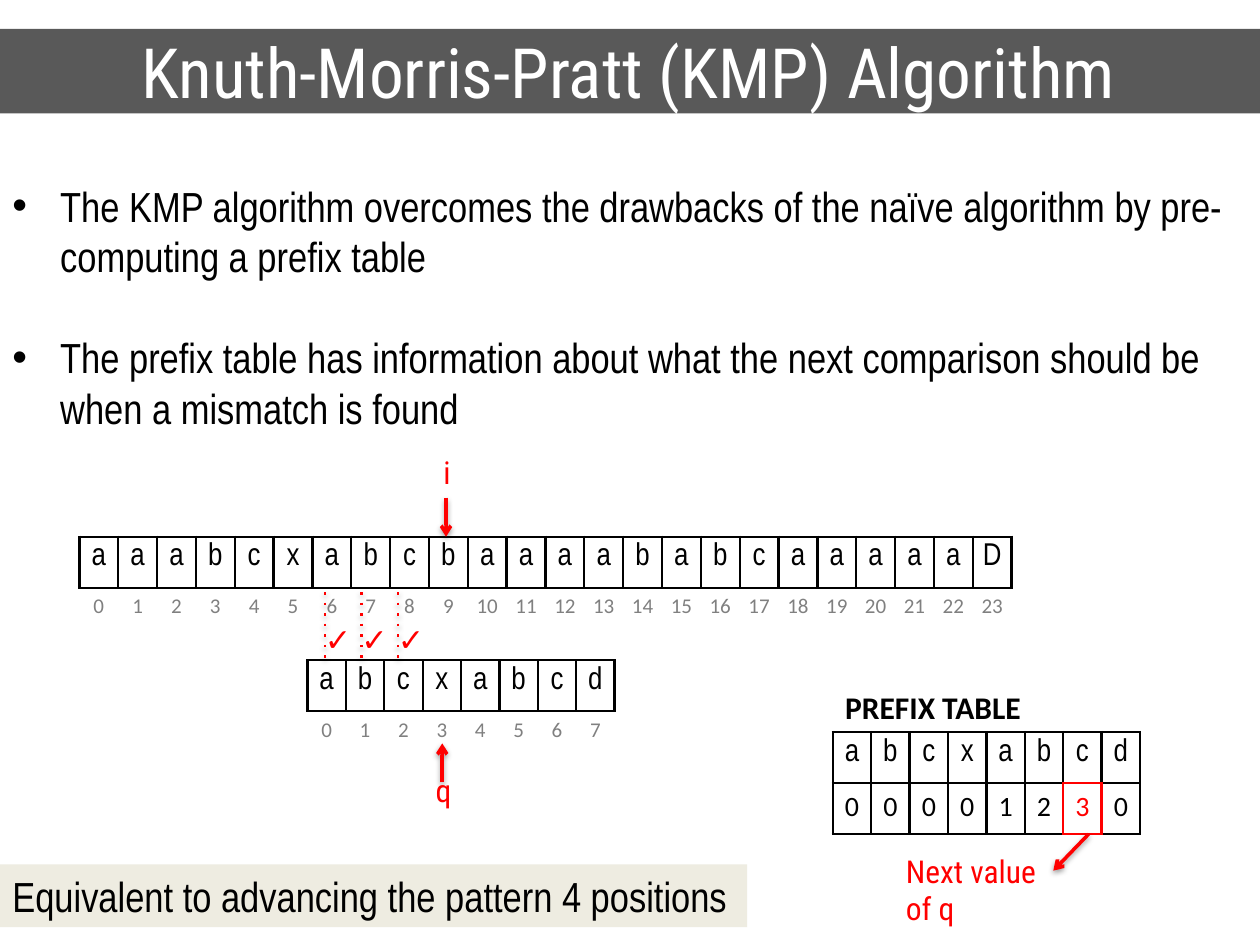
from dataclasses import dataclass

from lxml.etree import SubElement
from pptx import Presentation
from pptx.dml.color import RGBColor
from pptx.enum.shapes import MSO_CONNECTOR, MSO_SHAPE
from pptx.enum.text import MSO_ANCHOR, PP_ALIGN
from pptx.oxml.ns import qn
from pptx.util import Inches, Pt

COLORS = {
    "black": "000000", "white": "FFFFFF", "bar": "595959",
    "red": "FF0000", "gray": "808080", "beige": "EEECE1",
}
NARROW, CONDENSED = "Arial Narrow", "Roboto Condensed"
ROW_HEIGHT = 0.405


@dataclass
class Style:
    size: float
    face: str
    color: str = "black"
    bold: bool = False


@dataclass
class Label:
    text: str
    box: tuple[float, float, float, float]
    style: Style
    wrap: bool = False


@dataclass
class LetterGrid:
    letters: str
    values: list[int]
    left: float
    top: float
    width: float
    value_style: Style
    framed_values: bool = False
    marked: int | None = None


@dataclass
class Stroke:
    start: tuple[float, float]
    end: tuple[float, float]
    width: float = 2
    dotted: bool = False


LETTER = Style(18, NARROW)
INDEX = Style(12, "Calibri", "gray")
POINTER = Style(18, CONDENSED, "red")
BODY = Style(24, NARROW)


def rgb(name: str) -> RGBColor:
    return RGBColor.from_string(COLORS[name])


def style_paragraph(paragraph, text: str, style: Style) -> None:
    paragraph.text = text
    font = paragraph.font
    font.size, font.name, font.bold = Pt(style.size), style.face, style.bold
    font.color.rgb = rgb(style.color)


def add_label(slide, label: Label) -> None:
    frame = slide.shapes.add_textbox(*map(Inches, label.box)).text_frame
    frame.word_wrap = label.wrap
    style_paragraph(frame.paragraphs[0], label.text, label.style)


def add_bar(slide, label: Label, fill: str, align: PP_ALIGN) -> None:
    bar = slide.shapes.add_shape(MSO_SHAPE.RECTANGLE, *map(Inches, label.box))
    bar.shadow.inherit = False
    bar.fill.solid()
    bar.fill.fore_color.rgb = rgb(fill)
    bar.line.fill.background()
    frame = bar.text_frame
    frame.word_wrap = label.wrap
    frame.vertical_anchor = MSO_ANCHOR.MIDDLE
    style_paragraph(frame.paragraphs[0], label.text, label.style)
    frame.paragraphs[0].alignment = align


def add_bullets(slide, box: tuple, points: list[str]) -> None:
    frame = slide.shapes.add_textbox(*map(Inches, box)).text_frame
    frame.word_wrap = True
    for i, point in enumerate(points):
        paragraph = frame.add_paragraph() if i else frame.paragraphs[0]
        style_paragraph(paragraph, point, BODY)
        paragraph.space_before = Pt(29 if i else 0)
        props = paragraph._p.get_or_add_pPr()
        props.set("marL", str(Inches(0.38)))
        props.set("indent", str(Inches(-0.38)))
        SubElement(props, qn("a:buFont"), typeface="Arial")
        SubElement(props, qn("a:buChar"), char="•")


def add_border(cell, side: str, color: str | None) -> None:
    line = SubElement(cell._tc.get_or_add_tcPr(), qn(f"a:ln{side}"), w=str(Pt(1.5)))
    if color:
        fill = SubElement(line, qn("a:solidFill"))
        SubElement(fill, qn("a:srgbClr"), val=COLORS[color])
    else:
        SubElement(line, qn("a:noFill"))


def border_color(grid: LetterGrid, row: int, col: int, side: str) -> str | None:
    # Edges shared with the marked value are red on both sides
    if grid.marked is not None:
        toward = {(0, 0, "B"), (1, -1, "R"), (1, 1, "L")}
        step = (row, col - grid.marked, side)
        if step in toward or step[:2] == (1, 0):
            return "red"
    framed = row == 0 or side == "T" or grid.framed_values
    return "black" if framed else None


def add_grid(slide, grid: LetterGrid) -> None:
    table = slide.shapes.add_table(
        2, len(grid.letters), Inches(grid.left), Inches(grid.top),
        Inches(grid.width), Inches(2 * ROW_HEIGHT)).table
    table.first_row = table.horz_banding = False
    value_style = grid.value_style
    marked_style = Style(value_style.size, value_style.face, "red")
    for row, texts in enumerate((grid.letters, grid.values)):
        for col, text in enumerate(texts):
            cell = table.cell(row, col)
            cell.margin_left = cell.margin_right = Inches(0.04)
            for side in "LRTB":
                add_border(cell, side, border_color(grid, row, col, side))
            cell.fill.background()
            style = LETTER if row == 0 else value_style
            if row == 1 and col == grid.marked:
                style = marked_style
            paragraph = cell.text_frame.paragraphs[0]
            style_paragraph(paragraph, str(text), style)
            paragraph.alignment = PP_ALIGN.CENTER


def add_stroke(slide, stroke: Stroke) -> None:
    # The soft shadow comes from the theme
    connector = slide.shapes.add_connector(
        MSO_CONNECTOR.STRAIGHT, *map(Inches, stroke.start + stroke.end))
    connector.line.color.rgb = rgb("red")
    connector.line.width = Pt(stroke.width)
    props = connector.line._get_or_add_ln()
    if stroke.dotted:
        SubElement(props, qn("a:prstDash"), val="dot")
    else:
        SubElement(props, qn("a:tailEnd"), type="arrow")


def main() -> None:
    prs = Presentation()
    prs.slide_width, prs.slide_height = Inches(10), Inches(7.5)
    slide = prs.slides.add_slide(prs.slide_layouts[6])

    # Title and explanation
    add_bar(slide, Label("Knuth-Morris-Pratt (KMP) Algorithm", (-0.02, 0.23, 10.02, 0.67),
                         Style(39.6, CONDENSED, "white"), True), "bar", PP_ALIGN.CENTER)
    add_bullets(slide, (0, 1.38, 10, 2.12), [
        "The KMP algorithm overcomes the drawbacks of the naïve algorithm by "
        "pre-computing a prefix table",
        "The prefix table has information about what the next comparison should be "
        "when a mismatch is found",
    ])

    # Searched text, pattern and prefix table
    text, pattern = "aaabcxabcbaaaababcaaaaaD", "abcxabcd"
    add_grid(slide, LetterGrid(text, list(range(len(text))), 0.63, 4.26, 7.4, INDEX))
    add_grid(slide, LetterGrid(pattern, list(range(len(pattern))), 2.44, 5.24, 2.44, INDEX))
    add_grid(slide, LetterGrid(pattern, [0, 0, 0, 0, 1, 2, 3, 0], 6.61, 5.81, 2.44,
                               Style(16, "Calibri"), framed_values=True, marked=6))

    # Matched letters
    for match in range(3):
        x = 2.58 + 0.29 * match
        add_label(slide, Label("✓", (x - 0.1, 4.87, 0.4, 0.4), Style(18, "Arial", "red")))
        add_stroke(slide, Stroke((x, 4.7), (x, 5.24), 1.5, dotted=True))

    # Pointers i and q, and the arrow to the next value
    for arrow in (Stroke((3.54, 3.95), (3.54, 4.26)),
                  Stroke((3.51, 6.21), (3.51, 5.9)),
                  Stroke((8.64, 6.62), (8.36, 6.91))):
        add_stroke(slide, arrow)
    for label in (Label("i", (3.42, 3.55, 0.25, 0.4), POINTER),
                  Label("q", (3.36, 6.07, 0.3, 0.4), POINTER),
                  Label("PREFIX TABLE", (6.61, 5.41, 1.63, 0.4),
                        Style(18, "Calibri", bold=True)),
                  Label("Next value of q", (7.09, 6.71, 1.35, 0.4), POINTER, True)):
        add_label(slide, label)

    # Conclusion
    add_bar(slide, Label("Equivalent to advancing the pattern 4 positions",
                         (0, 6.86, 5.93, 0.5), BODY), "beige", PP_ALIGN.LEFT)
    prs.save("out.pptx")


if __name__ == "__main__":
    main()
